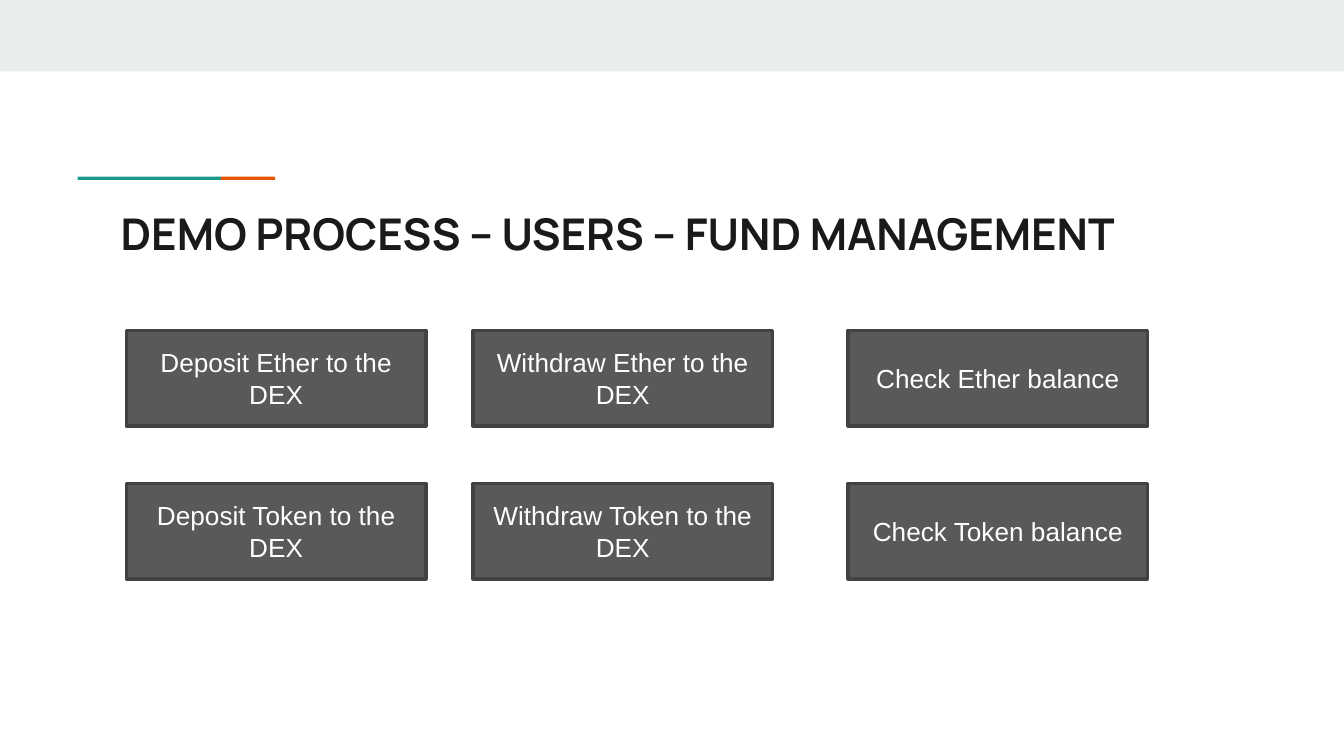
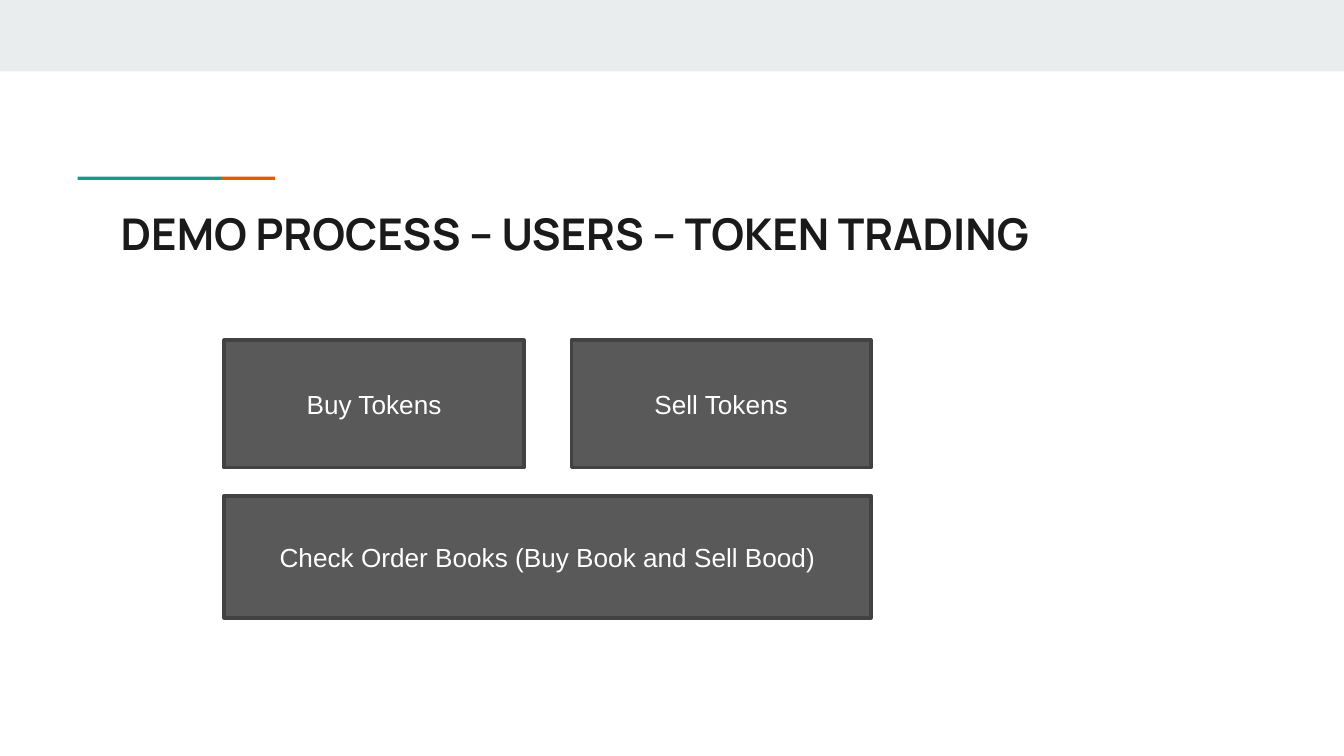
from pptx import Presentation
from pptx.dml.color import RGBColor
from pptx.enum.shapes import MSO_SHAPE
from pptx.enum.text import MSO_ANCHOR, PP_ALIGN
from pptx.util import Cm, Pt

# Content: each box is (text, column, row, columns spanned)
SLIDES = [
    {
        "title": "DEMO PROCESS – USERS – FUND MANAGEMENT",
        "cols": [2.39, 8.94, 16.03],
        "rows": [(6.25, 1.8), (9.14, 1.8)],
        "boxes": [
            ("Deposit Ether to the DEX", 0, 0, 1),
            ("Withdraw Ether to the DEX", 1, 0, 1),
            ("Check Ether balance", 2, 0, 1),
            ("Deposit Token to the DEX", 0, 1, 1),
            ("Withdraw Token to the DEX", 1, 1, 1),
            ("Check Token balance", 2, 1, 1),
        ],
    },
    {
        "title": "DEMO PROCESS – USERS – TOKEN TRADING",
        "cols": [4.24, 10.8],
        "rows": [(6.43, 2.41), (9.37, 2.31)],
        "boxes": [
            ("Buy Tokens", 0, 0, 1),
            ("Sell Tokens", 1, 0, 1),
            ("Check Order Books (Buy Book and Sell Bood)", 0, 1, 2),
        ],
    },
]

# Shared look
COLORS = {
    "band": "E9EDEE", "green": "1A9988", "orange": "EB5600",
    "title": "1A1A1A", "box": "595959", "edge": "424242", "white": "FFFFFF",
}
WIDTH, HEIGHT = 25.4, 14.29
BOX_W = 5.66
TRIM = [  # left, top, width, height, colour
    (0, 0, WIDTH, 1.35, "band"),
    (1.47, 3.34, 2.71, 0.06, "green"),
    (4.18, 3.34, 1.02, 0.06, "orange"),
]


def color(name):
    return RGBColor.from_string(COLORS[name])


def write(shape, text, font="Arial", size=14, ink="white", bold=False,
          align=PP_ALIGN.CENTER, inset=0.25):
    frame = shape.text_frame
    frame.word_wrap = True
    frame.vertical_anchor = MSO_ANCHOR.MIDDLE
    frame.margin_left = frame.margin_right = Cm(inset)
    para = frame.paragraphs[0]
    para.alignment = align
    run = para.add_run()
    run.text = text
    run.font.name = font
    run.font.size = Pt(size)
    run.font.bold = bold
    run.font.color.rgb = color(ink)


def rect(slide, left, top, width, height, fill, edge=None):
    shape = slide.shapes.add_shape(
        MSO_SHAPE.RECTANGLE, Cm(left), Cm(top), Cm(width), Cm(height))
    shape.shadow.inherit = False
    shape.fill.solid()
    shape.fill.fore_color.rgb = color(fill)
    if edge:
        shape.line.color.rgb = color(edge)
        shape.line.width = Pt(2)
    else:
        shape.line.fill.background()
    return shape


def build(deck, data):
    slide = deck.slides.add_slide(deck.slide_layouts[5])

    # Band, accent line and title
    for part in TRIM:
        rect(slide, *part)
    title = slide.shapes.title
    title.left, title.top = Cm(2.03), Cm(3.66)
    title.width, title.height = Cm(21.36), Cm(1.5)
    write(title, data["title"], font="Manrope", size=23.4, ink="title",
          bold=True, align=PP_ALIGN.LEFT)

    # Boxes on the slide's grid
    cols = data["cols"]
    for text, col, row, span in data["boxes"]:
        top, height = data["rows"][row]
        width = cols[col + span - 1] + BOX_W - cols[col]
        box = rect(slide, cols[col], top, width, height, "box", edge="edge")
        write(box, text)


def main():
    deck = Presentation()
    deck.slide_width, deck.slide_height = Cm(WIDTH), Cm(HEIGHT)
    for data in SLIDES:
        build(deck, data)
    deck.save("out.pptx")


if __name__ == "__main__":
    main()
